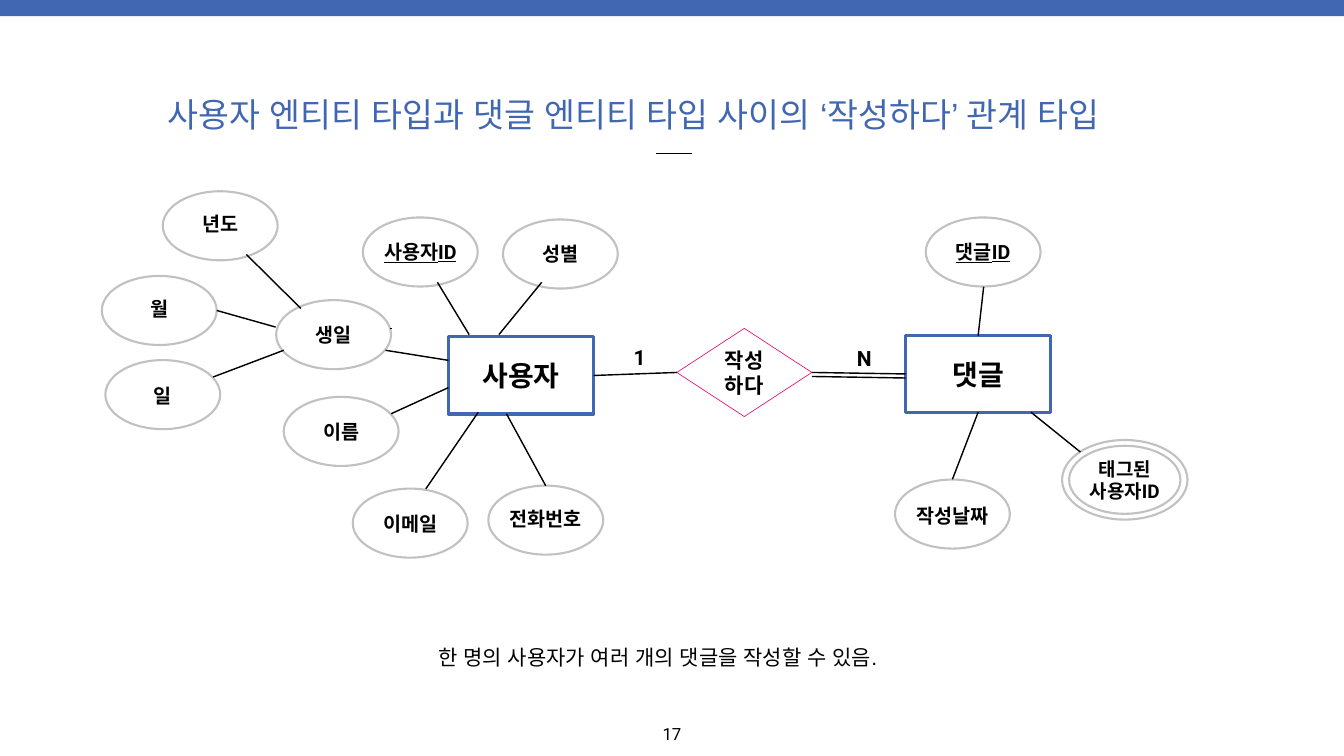
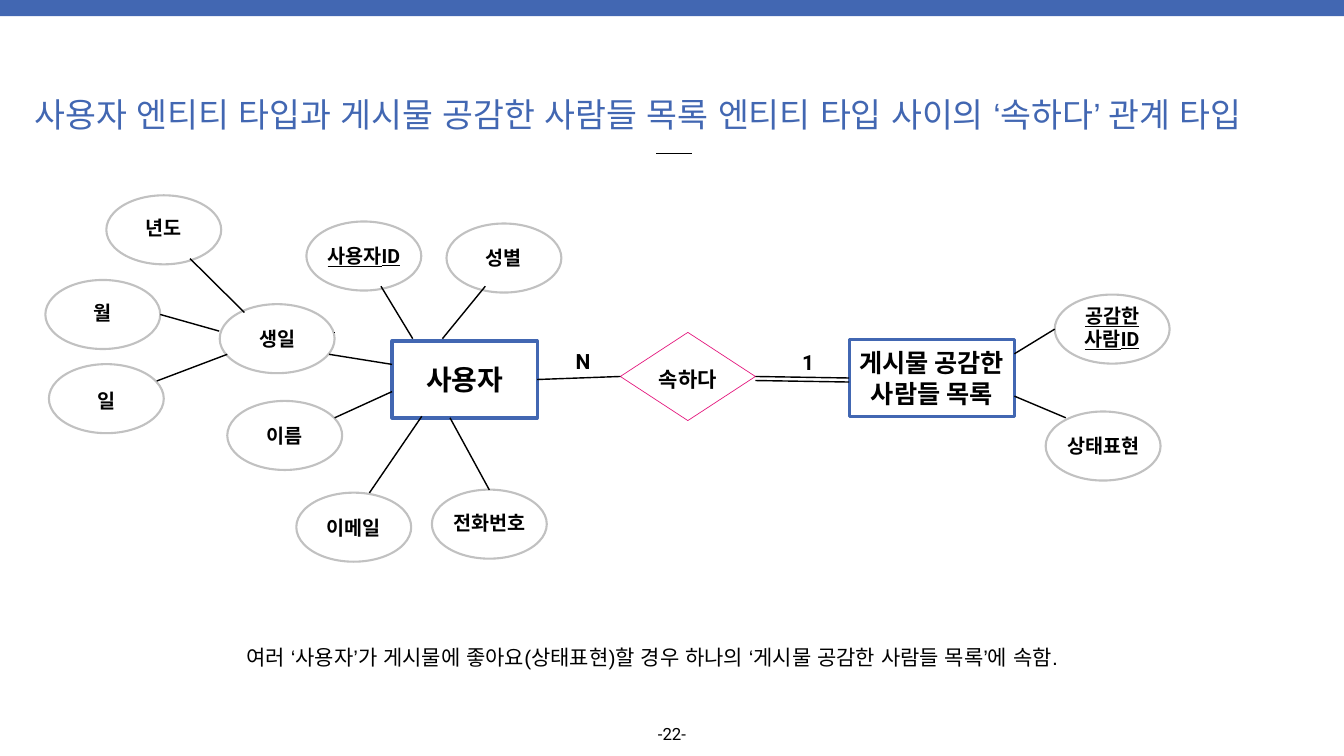
from lxml import etree
from pptx import Presentation
from pptx.dml.color import RGBColor
from pptx.enum.shapes import MSO_CONNECTOR, MSO_SHAPE
from pptx.enum.text import MSO_ANCHOR, MSO_AUTO_SIZE, PP_ALIGN
from pptx.oxml.ns import qn
from pptx.util import Inches, Pt

OVAL, RECT, DIAMOND = MSO_SHAPE.OVAL, MSO_SHAPE.RECTANGLE, MSO_SHAPE.DIAMOND
STRAIGHT = MSO_CONNECTOR.STRAIGHT
MIDDLE, TOP = MSO_ANCHOR.MIDDLE, MSO_ANCHOR.TOP
LEFT, CENTER = PP_ALIGN.LEFT, PP_ALIGN.CENTER
LEFT_SIDE, RIGHT_SIDE = 1, 3

WIDTH, HEIGHT = 26.67, 15
BLUE, GREY, PINK, BLACK, WHITE = "4267B2", "C1C1C1", "E4177D", "000000", "FFFFFF"
OVAL_SIZE = (2.28, 1.37)
ENTITY_HEIGHT = 1.53
INSET = 0.06
LABEL_WIDTH = 1.87
CARDINALITY_WIDTH = {"1": 0.35, "N": 0.42}

# Row centre of the relationship; each diagram is moved as a whole by its shift
USER = (10.34, 7.45)
RELATION = (14.77, 7.39)
CARDINALITY_AT = ((12.69, 7.08), (17.15, 7.1))

# Labels that sit a little below (or above) the centre of their shape
LABEL_DROP = {"년도": -0.04, "월": -0.04, "일": 0.03, "전화번호": -0.03,
              "작성날짜": 0.03, "공감한 사람ID": -0.04, "속하다": 0.05}

# Attributes: text, centre x, centre y, key
USER_ATTRIBUTES = [
    ("사용자ID", 8.34, 5.0, True),
    ("성별", 11.12, 5.04, False),
    ("전화번호", 10.83, 10.32, False),
    ("이메일", 8.14, 10.38, False),
    ("이름", 6.77, 8.56, False),
    ("생일", 6.62, 6.64, False),
    ("일", 3.23, 7.83, False),
    ("월", 3.16, 6.16, False),
    ("년도", 4.37, 4.48, False),
]
USER_SPOKES = [
    ((7.76, 6.51), (7.76, 6.52)),
    ((10.75, 5.6), (9.9, 6.64)),
    ((8.68, 5.6), (9.31, 6.64)),
    ((7.65, 6.95), (8.9, 7.15)),
    ((8.9, 7.69), (7.76, 8.21)),
    ((9.49, 8.18), (8.45, 9.7)),
    ((10.05, 8.21), (10.83, 9.64)),
    ((5.97, 6.12), (4.89, 5.05)),
    ((5.47, 6.49), (4.3, 6.16)),
    ((5.63, 6.95), (4.23, 7.48)),
]

DIAGRAMS = [
    {
        "title": ("사용자 엔티티 타입과 댓글 엔티티 타입 사이의 ‘작성하다’ 관계 타입 ", 20.13),
        "caption": ("한 명의 사용자가 여러 개의 댓글을 작성할 수 있음.", 9.39),
        "page": ("17", 0.5),
        "shift": (0, 0),
        "relation": {"text": "작성하다", "width": 1.11, "lines": 2},
        "cardinality": "1N",
        "entity": {"text": "댓글", "at": (19.41, 7.42), "width": 2.88,
                   "label": 2.58, "size": 40, "lines": 1},
        "attributes": [("작성날짜", 18.9, 10.2, False), ("댓글ID", 19.51, 5.0, True)],
        "multivalued": [("태그된 사용자ID", 22.32, 9.52)],
        "spokes": [((19.52, 5.69), (19.41, 6.66)),
                   ((20.46, 8.18), (21.44, 8.97)),
                   ((19.41, 8.18), (18.9, 9.51))],
    },
    {
        "title": ("사용자 엔티티 타입과 게시물 공감한 사람들 목록 엔티티 타입 사이의 "
                  "‘속하다’ 관계 타입 ", 25.4),
        "caption": ("여러 ‘사용자’가 게시물에 좋아요(상태표현)할 경우 하나의 "
                    "‘게시물 공감한 사람들 목록’에 속함.", 17.01),
        "page": ("-22-", 0.72),
        "shift": (-1.12, 0.08),
        "relation": {"text": "속하다", "width": 1.54, "lines": 1},
        "cardinality": "N1",
        "entity": {"text": "게시물 공감한 사람들 목록", "at": (19.61, 7.42), "width": 3.28,
                   "label": 3.36, "size": 36, "lines": 2},
        "attributes": [("상태표현", 23.01, 8.77, False), ("공감한 사람ID", 23.19, 6.45, True)],
        "multivalued": [],
        "spokes": [((21.25, 6.94), (22.05, 6.45)),
                   ((21.25, 7.78), (22.27, 8.21))],
    },
]


def colour(hex_code):
    return RGBColor.from_string(hex_code)


def moved(point, shift):
    return point[0] + shift[0], point[1] + shift[1]


def add_figure(slide, kind, centre, size, fill=WHITE, line=None, weight=0):
    """Add a preset shape around its centre point."""
    (x, y), (width, height) = centre, size
    figure = slide.shapes.add_shape(kind, Inches(x - width / 2), Inches(y - height / 2),
                                    Inches(width), Inches(height))
    figure.shadow.inherit = False
    figure.fill.solid()
    figure.fill.fore_color.rgb = colour(fill)
    if line:
        figure.line.color.rgb = colour(line)
        figure.line.width = Pt(weight)
    else:
        figure.line.fill.background()
    return figure


def add_text(slide, text, centre, width, size, lines=1, wrap=True, font="Roboto",
             ink=BLACK, bold=True, underline=None, anchor=MIDDLE, align=CENTER):
    """Add a text box around a point; its height follows from size and line count."""
    height = 2 * INSET + 0.0164 * size * lines
    top = centre[1] - height / 2 + LABEL_DROP.get(text, 0)
    box = slide.shapes.add_textbox(Inches(centre[0] - width / 2), Inches(top),
                                   Inches(width), Inches(height))
    frame = box.text_frame
    frame.margin_left = frame.margin_right = Inches(INSET)
    frame.margin_top = frame.margin_bottom = Inches(INSET)
    frame.word_wrap = wrap
    frame.auto_size = MSO_AUTO_SIZE.SHAPE_TO_FIT_TEXT
    frame.vertical_anchor = anchor
    frame.text = text
    paragraph = frame.paragraphs[0]
    paragraph.alignment = align
    run = paragraph.runs[0]
    style = run.font
    style.name, style.size = font, Pt(size)
    style.bold, style.underline = bold, underline
    style.color.rgb = colour(ink)
    return run


def add_sentence(slide, text, y, width, size, ink):
    """Add a one-line Arial text whose quotes and spaces are Arial too."""
    run = add_text(slide, text, (WIDTH / 2, y), width, size, wrap=False,
                   font="Arial", ink=ink, bold=None, align=LEFT)
    etree.SubElement(run._r.get_or_add_rPr(), qn("a:ea"), typeface="Arial")


def add_line(slide, start, end):
    line = slide.shapes.add_connector(STRAIGHT, *(Inches(v) for v in (*start, *end)))
    line.line.color.rgb = colour(BLACK)
    line.line.width = Pt(2)
    etree.SubElement(line._element.spPr, qn("a:effectLst"))
    return line


def add_frame(slide, diagram):
    """Add the band, title, rule, caption and page number."""
    middle = WIDTH / 2
    add_figure(slide, RECT, (middle, 0.16), (WIDTH, 0.32), BLUE)
    title, title_width = diagram["title"]
    add_sentence(slide, title, 2.27, title_width, 48, BLUE)
    add_line(slide, (13.02, 3.05), (13.73, 3.05))
    caption, caption_width = diagram["caption"]
    add_sentence(slide, caption, 13.03, caption_width, 30, BLACK)
    page, page_width = diagram["page"]
    add_text(slide, page, (middle, 14.56), page_width, 24, wrap=False,
             bold=None, anchor=TOP)


def add_entity(slide, text, centre, width, label, size, lines):
    box = add_figure(slide, RECT, centre, (width, ENTITY_HEIGHT), line=BLUE, weight=4.5)
    add_text(slide, text, centre, label, size, lines)
    return box


def add_diagram(slide, diagram):
    shift = diagram["shift"]
    for text, x, y, key in USER_ATTRIBUTES + diagram["attributes"]:
        centre = moved((x, y), shift)
        add_figure(slide, OVAL, centre, OVAL_SIZE, line=GREY, weight=3)
        add_text(slide, text, centre, LABEL_WIDTH, 28, lines=1 + (" " in text),
                 underline=key or None)
    for text, x, y in diagram["multivalued"]:
        centre = moved((x, y), shift)
        for ring in ((2.49, 1.58), (2.21, 1.35)):
            add_figure(slide, OVAL, centre, ring, line=GREY, weight=3)
        add_text(slide, text, centre, 1.65, 27, lines=2)

    user = add_entity(slide, "사용자", moved(USER, shift), 2.88, 2.58, 40, 1)
    other = diagram["entity"]
    target = add_entity(slide, other["text"], moved(other["at"], shift), other["width"],
                        other["label"], other["size"], other["lines"])

    relation, centre = diagram["relation"], moved(RELATION, shift)
    diamond = add_figure(slide, DIAMOND, centre, (2.68, 1.75), line=PINK, weight=1)
    add_text(slide, relation["text"], centre, relation["width"], 30, relation["lines"])
    for mark, point in zip(diagram["cardinality"], CARDINALITY_AT):
        add_text(slide, mark, moved(point, shift), CARDINALITY_WIDTH[mark], 30, wrap=False)

    total_participation = ((16.11, 7.47), (17.97, 7.5))
    for start, end in USER_SPOKES + diagram["spokes"] + [total_participation]:
        add_line(slide, moved(start, shift), moved(end, shift))
    for begin, begin_side, end, end_side in ((diamond, LEFT_SIDE, user, RIGHT_SIDE),
                                             (diamond, RIGHT_SIDE, target, LEFT_SIDE)):
        link = add_line(slide, centre, centre)
        link.begin_connect(begin, begin_side)
        link.end_connect(end, end_side)


def main():
    deck = Presentation()
    deck.slide_width, deck.slide_height = Inches(WIDTH), Inches(HEIGHT)
    for diagram in DIAGRAMS:
        slide = deck.slides.add_slide(deck.slide_layouts[6])
        add_frame(slide, diagram)
        add_diagram(slide, diagram)
    deck.save("out.pptx")


if __name__ == "__main__":
    main()
